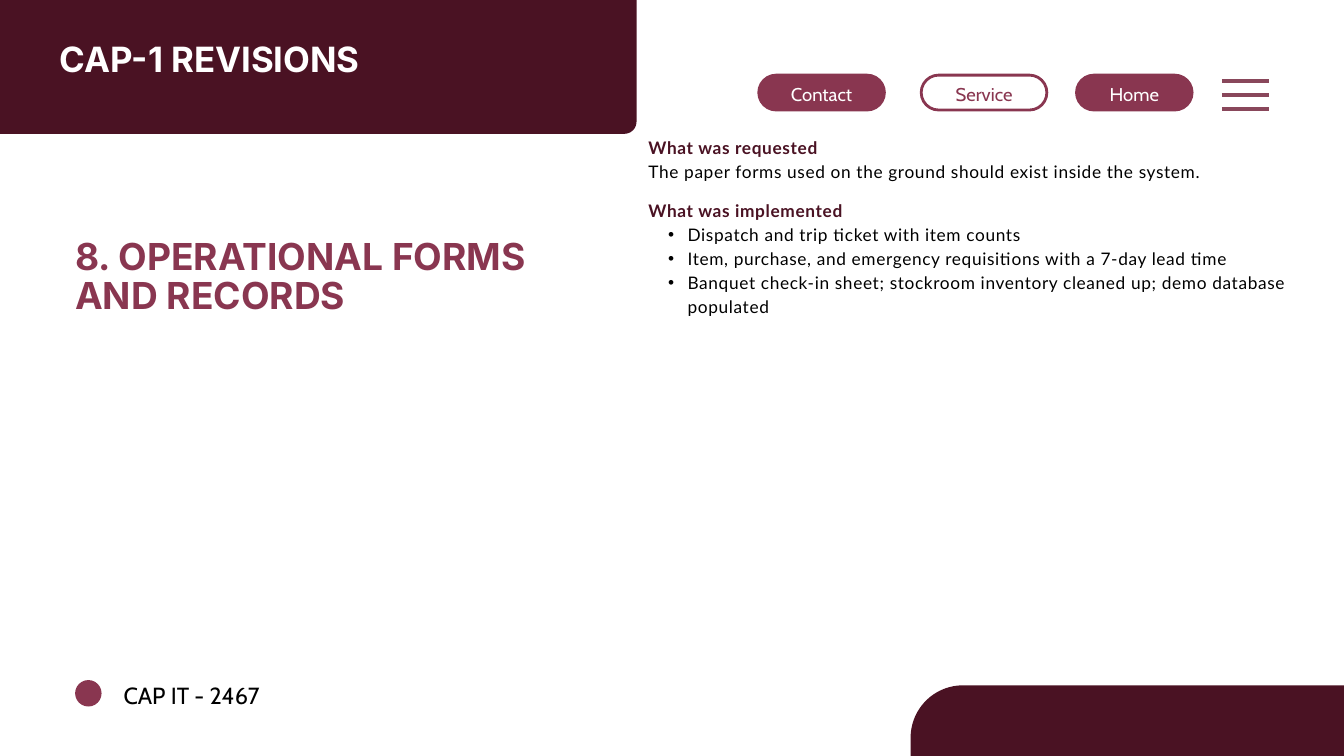
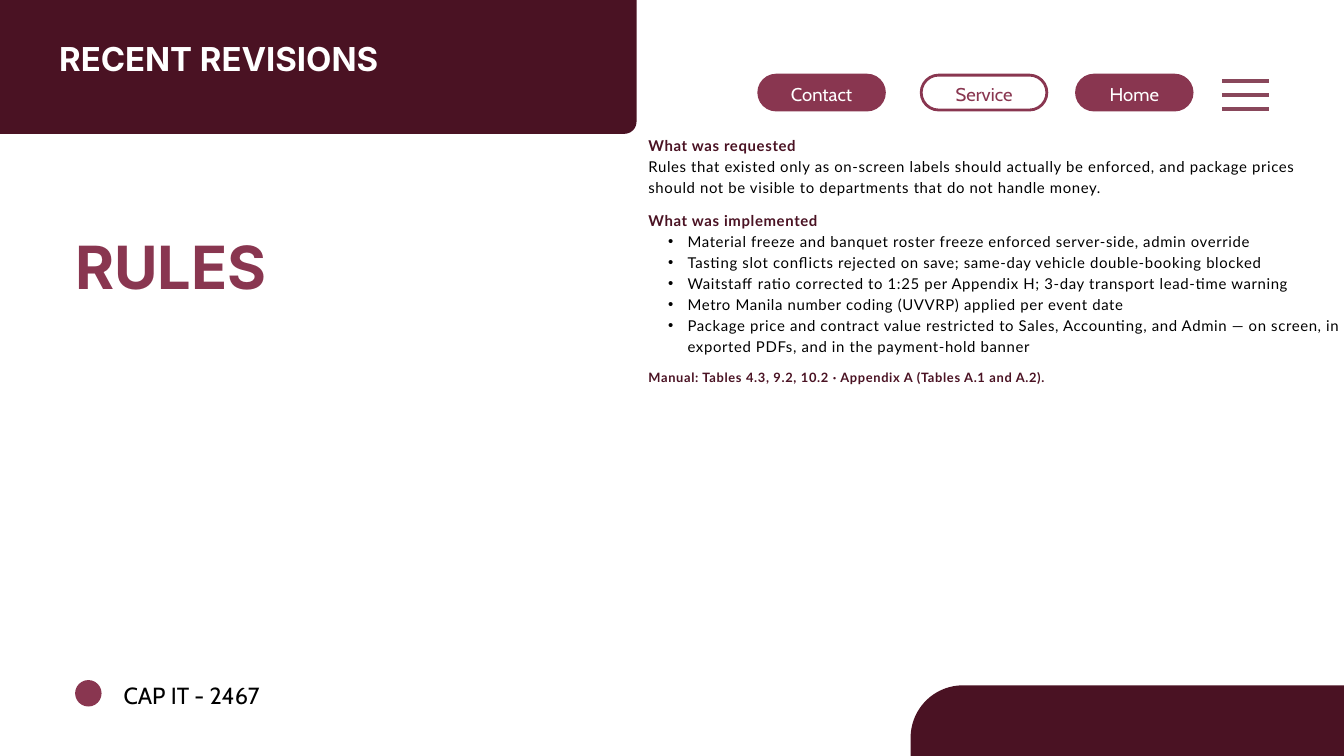
from lxml import etree
from pptx import Presentation
from pptx.dml.color import RGBColor
from pptx.enum import shapes, text
from pptx.oxml import ns
from pptx.util import Cm, Pt

MAROON = RGBColor(0x4A, 0x12, 0x23)
ROSE = RGBColor(0x89, 0x36, 0x50)
MENU_ROSE = RGBColor(0x89, 0x47, 0x5B)
WHITE = RGBColor(0xFF, 0xFF, 0xFF)
BLACK = RGBColor(0, 0, 0)

BANNER_BOX = (-2.31, -6.32, 26.37, 11.38)
CORNER_BOX = (34.42, 25.91, 23.52, 5.82)
NAV_BOX = (28.68, 2.84, 19.28, 1.32)
HEADING_BOX = (2.84, 9.02, 17.6, 4.57)
BODY_BOX = (24.51, 5.05, 26.29, 20.65)
FOOTER_BOX = (2.84, 25.58, 14.94, 1.17)

NAV_PILLS = [("Contact", 0, 4.75, True), ("Service", 6.14, 4.75, False), ("Home", 12.01, 4.37, True)]

SLIDES = [
    {
        "title": ("CAP-1 REVISIONS", 37.3),
        "heading": ("8. OPERATIONAL FORMS AND RECORDS", 39.8),
        "size": 18.5,
        "requested": "The paper forms used on the ground should exist inside the system.",
        "implemented": [
            "Dispatch and trip ticket with item counts",
            "Item, purchase, and emergency requisitions with a 7-day lead time",
            "Banquet check-in sheet; stockroom inventory cleaned up; demo database populated",
        ],
        "manual": None,
    },
    {
        "title": ("RECENT REVISIONS", 35.3),
        "heading": ("RULES", 63.8),
        "size": 16,
        "requested": "Rules that existed only as on-screen labels should actually be enforced, "
                     "and package prices should not be visible to departments that do not handle money.",
        "implemented": [
            "Material freeze and banquet roster freeze enforced server-side, admin override",
            "Tasting slot conflicts rejected on save; same-day vehicle double-booking blocked",
            "Waitstaff ratio corrected to 1:25 per Appendix H; 3-day transport lead-time warning",
            "Metro Manila number coding (UVVRP) applied per event date",
            "Package price and contract value restricted to Sales, Accounting, and Admin — "
            "on screen, in exported PDFs, and in the payment-hold banner",
        ],
        "manual": "Manual: Tables 4.3, 9.2, 10.2 · Appendix A (Tables A.1 and A.2).",
    },
]


def format_with(target, values):
    for name, value in values.items():
        setattr(target, name, value)


def add_shape(s, kind, box, fill=None, line=None, radius=None):
    sp = s.shapes.add_shape(kind, *map(Cm, box))
    sp.shadow.inherit = False
    if radius is not None:
        sp.adjustments[0] = radius
    if fill is None:
        sp.fill.background()
    else:
        sp.fill.solid()
        sp.fill.fore_color.rgb = fill
    if line is None:
        sp.line.fill.background()
    else:
        sp.line.color.rgb = line
        sp.line.width = Pt(3)
    return sp


def frame(sp, anchor=text.MSO_ANCHOR.TOP):
    tf = sp.text_frame
    format_with(tf, {"margin_left": 0, "margin_right": 0, "margin_top": 0, "margin_bottom": 0,
                     "word_wrap": True, "vertical_anchor": anchor})
    return tf


def write(p, words, font, size, color, bold=False, leading=1.4, align=text.PP_ALIGN.LEFT):
    format_with(p, {"alignment": align, "line_spacing": Pt(round(size * leading, 1))})
    r = p.add_run()
    r.text = words
    format_with(r.font, {"name": font, "size": Pt(size), "bold": bold})
    r.font.color.rgb = color
    return r


def add_label(s, box, *args, **kwargs):
    tf = frame(s.shapes.add_textbox(*map(Cm, box)))
    write(tf.paragraphs[0], *args, **kwargs)


def add_bullet(p):
    p.level = 1
    pPr = p._p.get_or_add_pPr()
    pPr.set("marL", str(Cm(1.48)))
    pPr.set("indent", str(Cm(-0.74)))
    etree.SubElement(pPr, ns.qn("a:buFont")).set("typeface", "Arial")
    etree.SubElement(pPr, ns.qn("a:buChar")).set("char", "•")


def add_banner(s, box, title, size):
    x, y, w, h = box
    add_shape(s, shapes.MSO_SHAPE.ROUNDED_RECTANGLE, box, MAROON, radius=0.04)
    add_label(s, (x + 4.55, y + 7.95, 16.74, 1.93), title, "Inter", size, WHITE, bold=True, leading=1.05)


def add_nav(s, box):
    x, y, w, h = box
    for name, offset, width, filled in NAV_PILLS:
        pill = add_shape(s, shapes.MSO_SHAPE.ROUNDED_RECTANGLE, (x + offset, y, width, h),
                         ROSE if filled else None, ROSE, radius=0.5)
        tf = frame(pill, text.MSO_ANCHOR.MIDDLE)
        write(tf.paragraphs[0], name, "Cabin", 19.8, WHITE if filled else ROSE,
              align=text.PP_ALIGN.CENTER)
    for i in range(3):
        bar_y = Cm(y + 0.21 + 0.53 * i)
        bar = s.shapes.add_connector(shapes.MSO_CONNECTOR.STRAIGHT, Cm(x + w - 1.78), bar_y, Cm(x + w), bar_y)
        bar.line.color.rgb = MENU_ROSE
        bar.line.width = Pt(4)
        etree.SubElement(bar._element.spPr, ns.qn("a:effectLst"))


def add_body(s, box, size, requested, implemented, manual):
    rows = [("What was requested", "head"), (requested, "plain"), ("What was implemented", "gap head")]
    rows += [(item, "bullet") for item in implemented]
    if manual:
        rows.append((manual, "gap note"))
    tf = frame(s.shapes.add_textbox(*map(Cm, box)))
    for i, (words, kind) in enumerate(rows):
        p = tf.add_paragraph() if i else tf.paragraphs[0]
        strong = "head" in kind or "note" in kind
        if kind == "bullet":
            add_bullet(p)
        if "gap" in kind:
            p.space_before = Pt(round(size * 0.84, 1))
        r = write(p, words, "Lato", 13.8 if "note" in kind else size, MAROON if strong else BLACK, bold=strong)
        r.font._element.set("spc", "70")


def add_footer(s, box):
    x, y, w, h = box
    add_shape(s, shapes.MSO_SHAPE.OVAL, (x, y + 0.13, 1, 1), ROSE)
    add_label(s, (x + 1.83, y, w - 1.83, h), "CAP IT - 2467", "Cabin", 25, BLACK)


def add_revision_slide(prs, content):
    s = prs.slides.add_slide(prs.slide_layouts[6])
    add_banner(s, BANNER_BOX, *content["title"])
    add_shape(s, shapes.MSO_SHAPE.ROUNDED_RECTANGLE, CORNER_BOX, MAROON, radius=0.34)
    add_nav(s, NAV_BOX)
    add_body(s, BODY_BOX, *(content[key] for key in ("size", "requested", "implemented", "manual")))
    heading, size = content["heading"]
    add_label(s, HEADING_BOX, heading, "Inter", size, ROSE, bold=True, leading=1.05)
    add_footer(s, FOOTER_BOX)


def main():
    prs = Presentation()
    format_with(prs, {"slide_width": Cm(50.8), "slide_height": Cm(28.58)})
    for content in SLIDES:
        add_revision_slide(prs, content)
    prs.save("out.pptx")


if __name__ == "__main__":
    main()
